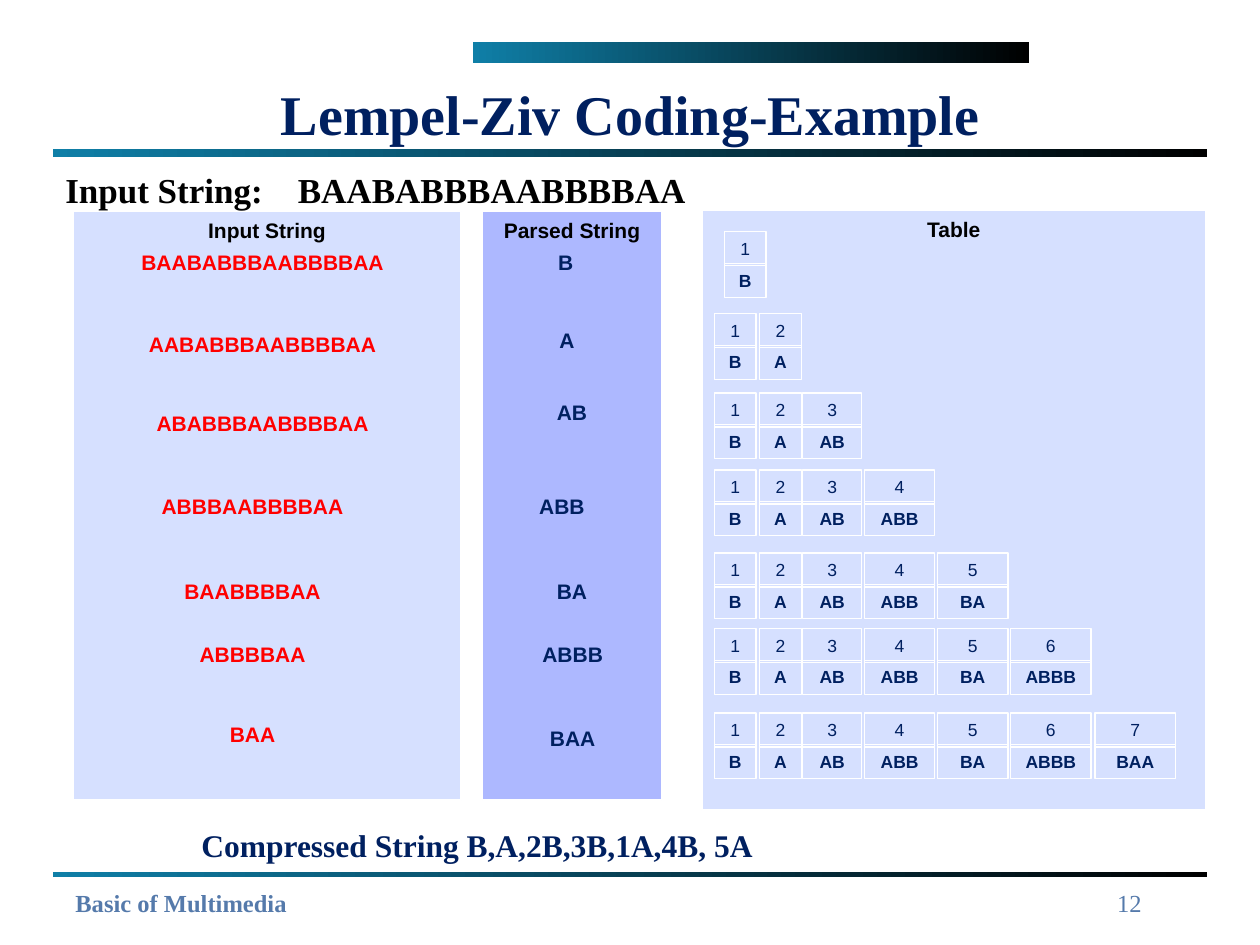
from itertools import accumulate

from pptx import Presentation, util as u
from pptx.dml.color import RGBColor
from pptx.enum import shapes, text

SERIF, SANS = "Times New Roman", "Arial"
NAVY, MUTED, RED, BLACK, WHITE = "002060", "557AAB", "FF0000", "000000", "FFFFFF"
PALE, VIOLET, TEAL = "D6E0FF", "ADB8FF", "0F7FA7"
LEFT, CENTER, RIGHT = text.PP_ALIGN.LEFT, text.PP_ALIGN.CENTER, text.PP_ALIGN.RIGHT

PHRASES = ["B", "A", "AB", "ABB", "BA", "ABBB", "BAA"]
MESSAGE = "".join(PHRASES)
LINE_HEIGHT = 0.3
CELL_HEIGHT, CELL_PITCH = 0.27, 0.25
# Offsets from the left and top of the panel that holds them
INPUT_PLACES = [(0.17, 0.25), (0.17, 0.9), (0.17, 1.53), (0.09, 2.19),
                (0.09, 2.86), (0.09, 3.36), (0.09, 4.0)]
INPUT_WIDTH = 2.67
PARSED_PLACES = [(0.45, 0.25, 0.42), (0.46, 0.87, 0.42), (0.42, 1.44, 0.58),
                 (0.34, 2.19, 0.58), (0.42, 2.86, 0.58), (0.34, 3.36, 0.75),
                 (0.34, 4.03, 0.75)]
TABLE_PLACES = [(0.18, 0.17), (0.1, 0.82), (0.1, 1.45), (0.1, 2.06),
                (0.1, 2.72), (0.1, 3.32), (0.1, 3.99)]
CELL_COLUMNS = [(0, 0.33), (0.36, 0.33), (0.7, 0.47), (1.19, 0.56),
                (1.77, 0.56), (2.35, 0.64), (3.02, 0.64)]


def color(value):
    """Turn a hex string into a colour."""
    return RGBColor.from_string(value)


def write(shape, words, size, font, tint, bold=True, align=CENTER,
          anchor=text.MSO_ANCHOR.TOP):
    """Put one formatted paragraph into a shape and return it."""
    frame = shape.text_frame
    frame.word_wrap = True
    frame.vertical_anchor = anchor
    frame.text = words
    paragraph = frame.paragraphs[0]
    paragraph.alignment = align
    paragraph.font.size = u.Pt(size)
    paragraph.font.name = font
    paragraph.font.bold = bold
    paragraph.font.color.rgb = color(tint)
    return paragraph


def add_label(slide, box, words, size, font, tint, **options):
    """Add a text box at (left, top, width, height) inches."""
    label = slide.shapes.add_textbox(*map(u.Inches, box))
    return write(label, words, size, font, tint, **options)


def add_box(slide, box):
    """Add a rectangle without a shadow."""
    shape = slide.shapes.add_shape(shapes.MSO_SHAPE.RECTANGLE, *map(u.Inches, box))
    shape.shadow.inherit = False
    return shape


def add_bar(slide, box):
    """Add a decorative bar fading from teal to black."""
    bar = add_box(slide, box)
    bar.line.fill.background()
    bar.fill.gradient()
    bar.fill.gradient_angle = 0
    for stop, tint in zip(bar.fill.gradient_stops, (TEAL, BLACK)):
        stop.color.rgb = color(tint)


def add_panel(slide, box, heading, fill):
    """Add a filled panel with its heading at the top."""
    panel = add_box(slide, box)
    panel.fill.solid()
    panel.fill.fore_color.rgb = color(fill)
    panel.line.color.rgb = color(WHITE)
    panel.line.width = u.Pt(1)
    write(panel, heading, 12, SANS, BLACK)


def add_cell(slide, box, words, bold):
    """Add one outlined dictionary cell."""
    cell = add_box(slide, box)
    cell.fill.background()
    cell.line.color.rgb = color(WHITE)
    cell.line.width = u.Pt(0.75)
    write(cell, words, 10, SANS, NAVY, bold=bold)


def add_input_panel(slide, box):
    """Show what remains of the message before each step."""
    add_panel(slide, box, "Input String", PALE)
    starts = accumulate(map(len, PHRASES[:-1]), initial=0)
    for start, (x, y) in zip(starts, INPUT_PLACES):
        place = (box[0] + x, box[1] + y, INPUT_WIDTH, LINE_HEIGHT)
        add_label(slide, place, MESSAGE[start:], 12, SANS, RED)


def add_parsed_panel(slide, box):
    """Show the phrase parsed at each step."""
    add_panel(slide, box, "Parsed String", VIOLET)
    for phrase, (x, y, width) in zip(PHRASES, PARSED_PLACES):
        place = (box[0] + x, box[1] + y, width, LINE_HEIGHT)
        add_label(slide, place, phrase, 12, SANS, NAVY)


def add_table_panel(slide, box):
    """Show the dictionary growing by one entry at each step."""
    add_panel(slide, box, "Table", PALE)
    for count, (x, y) in enumerate(TABLE_PLACES, 1):
        entries = zip(PHRASES[:count], CELL_COLUMNS)
        for number, (phrase, (offset, width)) in enumerate(entries, 1):
            left, top = box[0] + x + offset, box[1] + y
            add_cell(slide, (left, top, width, CELL_HEIGHT), str(number), False)
            add_cell(slide, (left, top + CELL_PITCH, width, CELL_HEIGHT), phrase, True)


def add_frame(slide):
    """Add the title, the bars and the footer."""
    for bar in [(3.75, 0.33, 4.42, 0.17), (0.42, 1.18, 9.16, 0.07),
                (0.42, 6.92, 9.16, 0.04)]:
        add_bar(slide, bar)
    title = slide.shapes.title
    title.left, title.top, title.width, title.height = map(
        u.Inches, (0.42, 0.56, 9.17, 0.67))
    write(title, "Lempel-Ziv Coding-Example", 32, SERIF, NAVY,
          anchor=text.MSO_ANCHOR.MIDDLE)
    add_label(slide, (0.5, 7, 6.08, 0.33), "Basic of Multimedia", 14, SERIF,
              MUTED, align=LEFT)
    add_label(slide, (7.08, 7, 2.08, 0.5), "12", 14, SERIF, MUTED,
              bold=False, align=RIGHT)


def build():
    """Build and save the presentation."""
    presentation = Presentation()
    presentation.slide_width, presentation.slide_height = u.Inches(10), u.Inches(7.5)
    slide = presentation.slides.add_slide(presentation.slide_layouts[5])
    add_frame(slide)
    message = add_label(slide, (0.42, 1.29, 9.17, 0.45),
                        f"Input String:    {MESSAGE}", 20, SERIF, BLACK, align=LEFT)
    message.space_before = u.Pt(4)
    add_input_panel(slide, (0.58, 1.68, 3.08, 4.67))
    add_parsed_panel(slide, (3.83, 1.68, 1.42, 4.67))
    add_table_panel(slide, (5.57, 1.67, 4, 4.76))
    add_label(slide, (1.5, 6.51, 6.75, 0.4), "Compressed String B,A,2B,3B,1A,4B, 5A",
              18, SERIF, NAVY, align=LEFT)
    presentation.save("out.pptx")


build()
